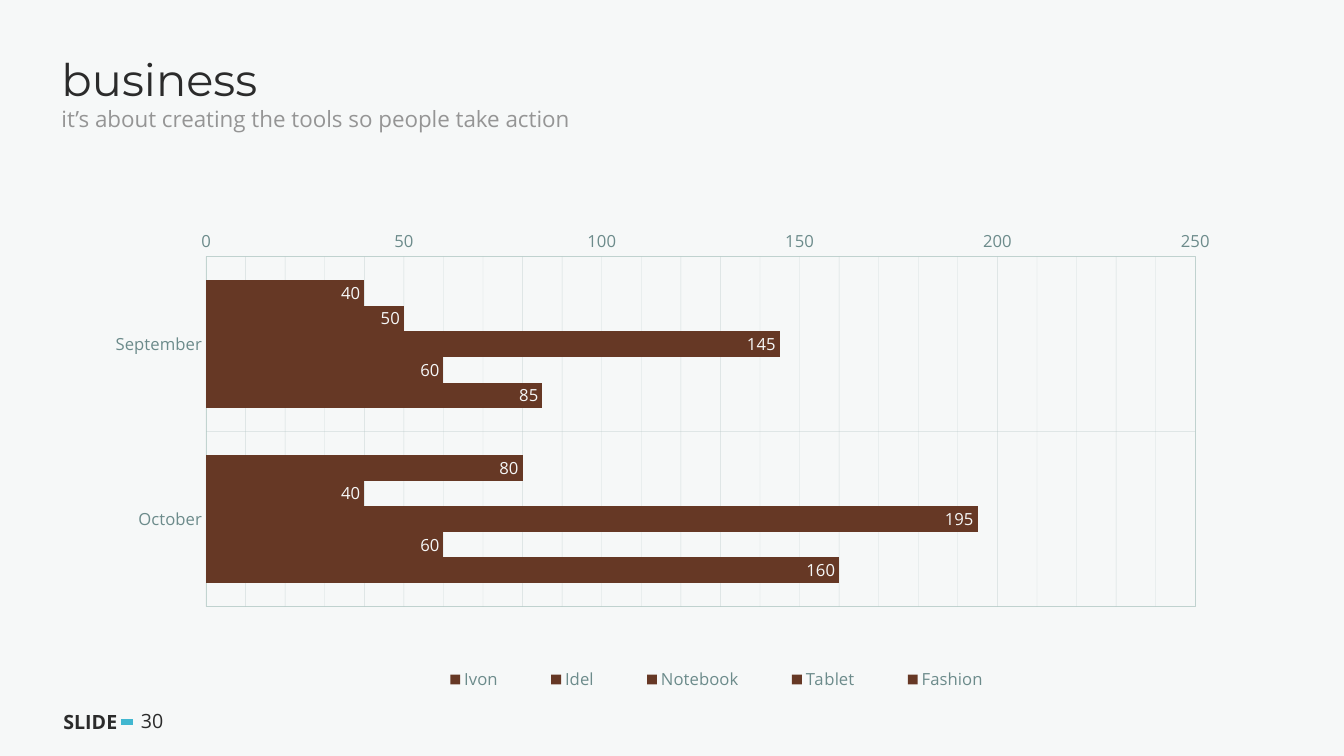
from copy import deepcopy

from lxml import etree
from pptx import Presentation
from pptx import util as u
from pptx.chart.data import CategoryChartData
from pptx.dml.color import RGBColor
from pptx.enum import chart as charts, shapes, text
from pptx.oxml import parse_xml
from pptx.oxml.ns import nsdecls, qn

MONTHS = ["September", "October"]
SALES = {
    "Fashion": [40, 80],
    "Tablet": [50, 40],
    "Notebook": [145, 195],
    "Idel": [60, 60],
    "Ivon": [85, 160],
}


def color(value):
    return RGBColor.from_string(value)


def add_layout(parent, position, x, y, width, height, inner=False):
    """Place a chart part by fractions of the chart area."""
    target = '<c:layoutTarget val="inner"/>' if inner else ""
    old = parent.find(qn("c:layout"))
    if old is not None:
        parent.remove(old)
    parent.insert(position, parse_xml(
        f'<c:layout {nsdecls("c")}><c:manualLayout>{target}'
        '<c:xMode val="edge"/><c:yMode val="edge"/>'
        f'<c:x val="{x}"/><c:y val="{y}"/><c:w val="{width}"/><c:h val="{height}"/>'
        '</c:manualLayout></c:layout>'))


class SlideBuilder:
    HEADING_FONT, BODY_FONT = "Montserrat", "Open Sans"
    INK, MUTED, BACKGROUND = "2B2B2B", "959595", "F6F8F8"
    ACCENT, BAR, LABEL, GRID = "41B7D0", "663825", "6C8B8B", "B1C2C2"
    CHART_SIZE = 11.9

    def __init__(self, presentation):
        self.slide = presentation.slides.add_slide(presentation.slide_layouts[1])
        self.slide.background.fill.solid()
        self.slide.background.fill.fore_color.rgb = color(self.BACKGROUND)

    def set_font(self, font, size, value, name=BODY_FONT, bold=False):
        font.name, font.size, font.bold = name, u.Pt(size), bold
        font.color.rgb = color(value)

    def placeholder(self, index, box, words, size, value, name, anchor):
        shape = self.slide.placeholders[index]
        shape.left, shape.top, shape.width, shape.height = map(u.Inches, box)
        frame = shape.text_frame
        frame.text = words
        frame.vertical_anchor = anchor
        frame.auto_size = text.MSO_AUTO_SIZE.NONE
        paragraph = frame.paragraphs[0]
        paragraph.alignment = text.PP_ALIGN.LEFT
        paragraph.line_spacing = 0.9
        self.set_font(paragraph.font, size, value, name)
        return paragraph

    def title(self, words):
        self.placeholder(0, (0.51, 0.5, 12.42, 0.62), words, 32, self.INK,
                         self.HEADING_FONT, text.MSO_ANCHOR.MIDDLE)

    def subtitle(self, words):
        paragraph = self.placeholder(1, (0.51, 1.02, 12.42, 0.48), words, 16, self.MUTED,
                                     self.BODY_FONT, text.MSO_ANCHOR.TOP)
        paragraph.space_before = u.Pt(10)
        properties = paragraph._p.get_or_add_pPr()
        properties.set("marL", "0")
        properties.set("indent", "0")
        bullet = etree.Element(qn("a:buNone"))
        properties.find(qn("a:defRPr")).addprevious(bullet)

    def label(self, box, words, bold=False):
        shape = self.slide.shapes.add_textbox(*map(u.Inches, box))
        frame = shape.text_frame
        frame.word_wrap = True
        frame.text = words
        self.set_font(frame.paragraphs[0].font, 14, self.INK, bold=bold)

    def line(self, left, right, y, width):
        connector = self.slide.shapes.add_connector(
            shapes.MSO_CONNECTOR.STRAIGHT, *map(u.Inches, (left, y, right, y)))
        connector.line.color.rgb = color(self.ACCENT)
        connector.line.width = u.Pt(width)
        etree.SubElement(connector._element.spPr, qn("a:effectLst"))

    def axis(self, axis):
        axis.major_tick_mark = axis.minor_tick_mark = charts.XL_TICK_MARK.NONE
        axis.format.line.fill.background()
        self.set_font(axis.tick_labels.font, self.CHART_SIZE, self.LABEL)
        axis.has_major_gridlines = True
        line = axis.major_gridlines.format.line
        line.width = u.Pt(0.25)
        line.color.rgb = color(self.GRID)
        gridlines = axis._element.find(qn("c:majorGridlines"))
        etree.SubElement(gridlines.find(".//" + qn("a:srgbClr")), qn("a:alpha"), val="50000")
        return gridlines

    def bar_chart(self, box, categories, values):
        data = CategoryChartData()
        data.categories = categories
        for name, numbers in values.items():
            data.add_series(name, numbers)
        chart = self.slide.shapes.add_chart(
            charts.XL_CHART_TYPE.BAR_CLUSTERED, *map(u.Inches, box), data).chart
        chart.has_title = False
        self.set_font(chart.font, 10, self.LABEL)

        # Bars and value labels
        plot = chart.plots[0]
        plot.gap_width, plot.overlap = 182, 0
        plot.vary_by_categories = False
        for series in plot.series:
            series.format.fill.solid()
            series.format.fill.fore_color.rgb = color(self.BAR)
            labels = series.data_labels
            labels.show_value = True
            labels.position = charts.XL_LABEL_POSITION.INSIDE_END
            self.set_font(labels.font, self.CHART_SIZE, self.BACKGROUND)

        # Axes
        self.axis(chart.category_axis)
        chart.category_axis.reverse_order = True
        chart.category_axis.crosses = charts.XL_AXIS_CROSSES.MAXIMUM
        value_axis = chart.value_axis
        major_gridlines = self.axis(value_axis)
        value_axis.minimum_scale, value_axis.maximum_scale = 0, 250
        value_axis.major_unit, value_axis.minor_unit = 50, 10
        value_axis.has_minor_gridlines = True
        minor_gridlines = value_axis._element.find(qn("c:minorGridlines"))
        minor_gridlines.append(deepcopy(major_gridlines.find(qn("c:spPr"))))

        # Legend
        chart.has_legend = True
        chart.legend.position = charts.XL_LEGEND_POSITION.BOTTOM
        chart.legend.include_in_layout = False
        self.set_font(chart.legend.font, self.CHART_SIZE, self.LABEL)
        add_layout(chart.legend._element, 1, 0.28, 0.92, 0.55, 0.07)

        # Plot frame
        plot_area = chart._chartSpace.chart.plotArea
        add_layout(plot_area, 0, 0.108, 0.126, 0.866, 0.686, inner=True)
        plot_area.append(parse_xml(
            f'<c:spPr {nsdecls("c", "a")}><a:noFill/><a:ln w="6350"><a:solidFill>'
            '<a:srgbClr val="C4D6D2"/></a:solidFill></a:ln></c:spPr>'))


def main():
    presentation = Presentation()
    presentation.slide_width = u.Inches(13.33)
    presentation.slide_height = u.Inches(7.5)
    builder = SlideBuilder(presentation)

    # Footer
    builder.label((1.3, 6.98, 0.71, 0.34), "30")
    builder.label((0.53, 6.99, 0.82, 0.34), "SLIDE", bold=True)
    builder.line(1.2, 1.32, 7.16, 4.5)

    # Heading
    builder.title("business")
    builder.subtitle("it’s about creating the tools so people take action")

    # Sales by month
    builder.bar_chart((0.82, 1.91, 11.33, 5.06), MONTHS, SALES)
    presentation.save("out.pptx")


if __name__ == "__main__":
    main()
